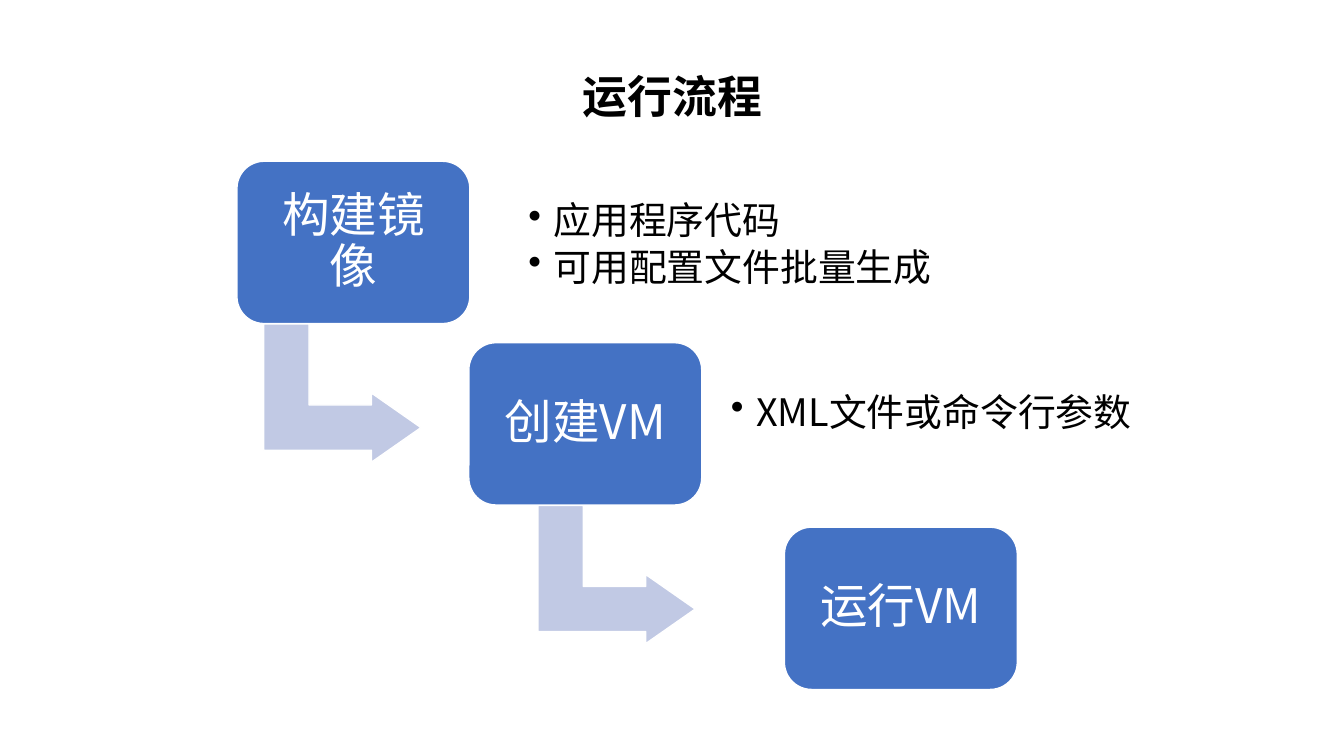
import pptx
import pptx.util
import pptx.dml.color
import pptx.enum.shapes
import pptx.enum.text
import pptx.oxml.ns
import lxml.etree
from dataclasses import dataclass

Inches, Pt = pptx.util.Inches, pptx.util.Pt
Kind = pptx.enum.shapes.MSO_SHAPE
Align = pptx.enum.text.PP_ALIGN
Anchor = pptx.enum.text.MSO_ANCHOR

# Content: label, box left and top, notes, note frame, arrow shift from box
TITLE = "运行流程"
STEPS = [
    ("构建镜像", (2.35, 1.6), ["应用程序代码", "可用配置文件批量生成"],
     (5.1, 1.79, 5.03, 1.3), 0.36),
    ("创建VM", (4.65, 3.4), ["XML文件或命令行参数"],
     (7.11, 3.46, 5.56, 1.3), 0.78),
    ("运行VM", (7.78, 5.23), [], None, None),
]
BOX = (2.31, 1.61)
ARROW = (1.37, 1.56)
DROP = 1.52  # from top of box to top of arrow frame


@dataclass(frozen=True)
class Theme:
    font: str = "Noto Sans CJK SC"
    blue: str = "4472C4"
    pale: str = "C1C9E4"
    white: str = "FFFFFF"
    black: str = "000000"
    title: int = 32
    label: int = 34
    note: int = 27


LOOK = Theme()


def color(code):
    return pptx.dml.color.RGBColor.from_string(code)


def style(para, size, tint, bold=False, bullet=False):
    font = para.font
    font.name, font.size, font.bold = LOOK.font, Pt(size), bold
    font.color.rgb = color(tint)
    props = para._p.pPr
    base = props.find(pptx.oxml.ns.qn("a:defRPr"))
    latin = base.find(pptx.oxml.ns.qn("a:latin"))
    east = lxml.etree.Element(pptx.oxml.ns.qn("a:ea"), typeface=LOOK.font)
    latin.addnext(east)
    if bullet:
        props.set("marL", str(Inches(0.25)))
        props.set("indent", str(Inches(-0.25)))
        mark = lxml.etree.Element(pptx.oxml.ns.qn("a:buChar"), char="•")
        base.addprevious(mark)


def write(frame, lines, size, tint, after, align, bullet=False):
    frame.word_wrap = True
    frame.vertical_anchor = Anchor.MIDDLE
    frame.margin_left = frame.margin_right = Inches(0.14)
    frame.margin_top = frame.margin_bottom = Inches(0.14)
    frame.text = "\n".join(lines)
    for para in frame.paragraphs:
        para.alignment = align
        para.line_spacing = 0.9
        para.space_after = Pt(after)
        style(para, size, tint, bullet=bullet)


def draw(slide, kind, area, fill):
    shape = slide.shapes.add_shape(kind, *map(Inches, area))
    shape.shadow.inherit = False
    shape.fill.solid()
    shape.fill.fore_color.rgb = color(fill)
    shape.line.color.rgb = color(LOOK.white)
    shape.line.width = Pt(1)
    return shape


def main():
    deck = pptx.Presentation()
    deck.slide_width, deck.slide_height = Inches(13.33), Inches(7.5)
    slide = deck.slides.add_slide(deck.slide_layouts[5])

    # Title
    head = slide.shapes.title
    head.left, head.top = Inches(3.67), Inches(0.63)
    head.width, head.height = Inches(6), Inches(0.64)
    frame = head.text_frame
    frame.text = TITLE
    frame.word_wrap = True
    frame.vertical_anchor = Anchor.TOP
    frame.auto_size = pptx.enum.text.MSO_AUTO_SIZE.SHAPE_TO_FIT_TEXT
    para = frame.paragraphs[0]
    para.alignment = Align.CENTER
    style(para, LOOK.title, LOOK.black, bold=True)

    for label, (left, top), notes, area, shift in STEPS:
        # Arrow to the next step
        if shift is not None:
            arrow = draw(slide, Kind.BENT_UP_ARROW,
                         (left + shift, top + DROP, *ARROW), LOOK.pale)
            arrow.rotation = 90
            for i, value in enumerate((0.328, 0.25, 0.358)):
                arrow.adjustments[i] = value

        # Step box
        box = draw(slide, Kind.ROUNDED_RECTANGLE, (left, top, *BOX), LOOK.blue)
        box.adjustments[0] = 0.167
        write(box.text_frame, [label], LOOK.label, LOOK.white, 12, Align.CENTER)

        # Notes beside the box
        if notes:
            text = slide.shapes.add_textbox(*map(Inches, area))
            write(text.text_frame, notes, LOOK.note, LOOK.black, 4,
                  Align.LEFT, bullet=True)

    deck.save("out.pptx")


if __name__ == "__main__":
    main()
